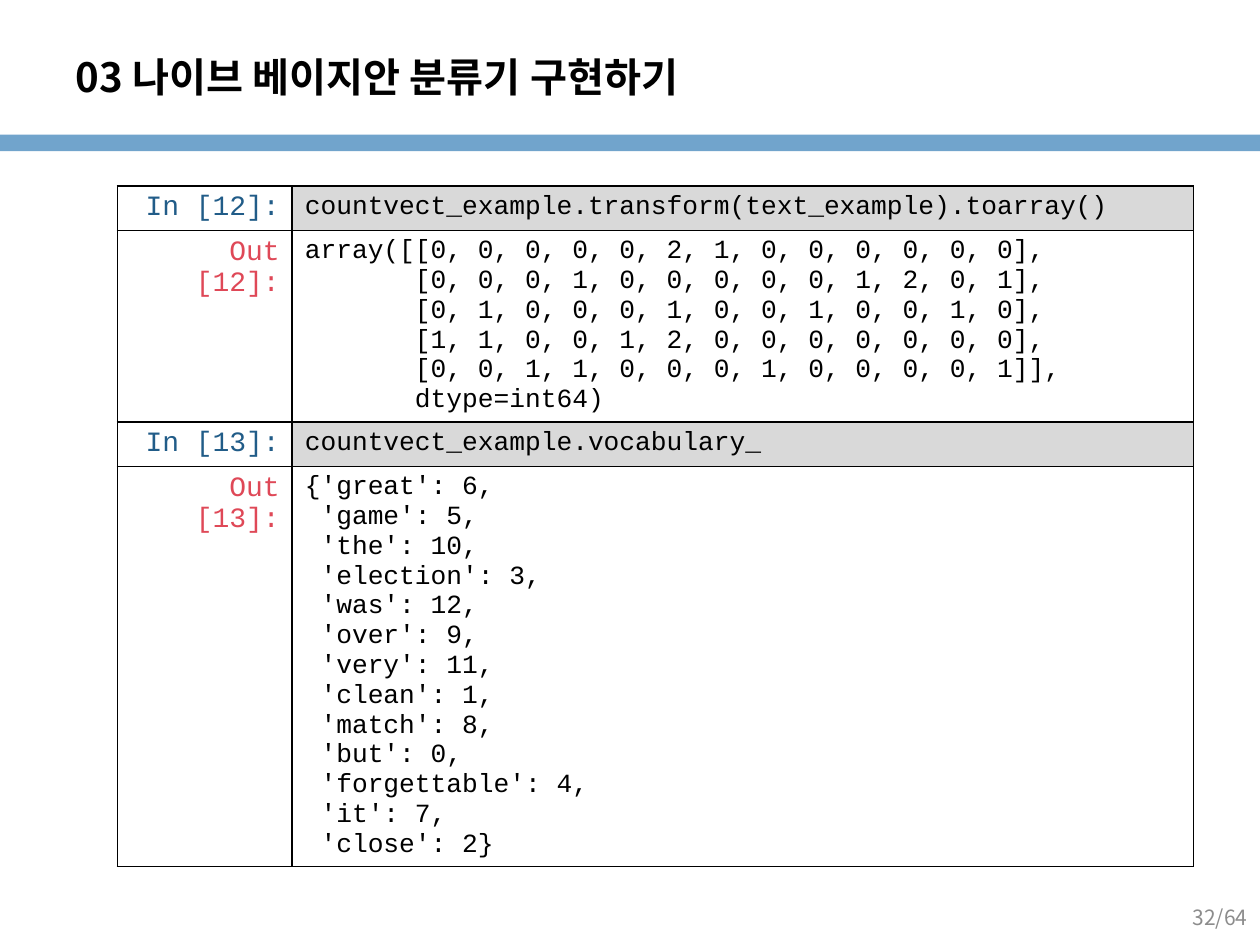
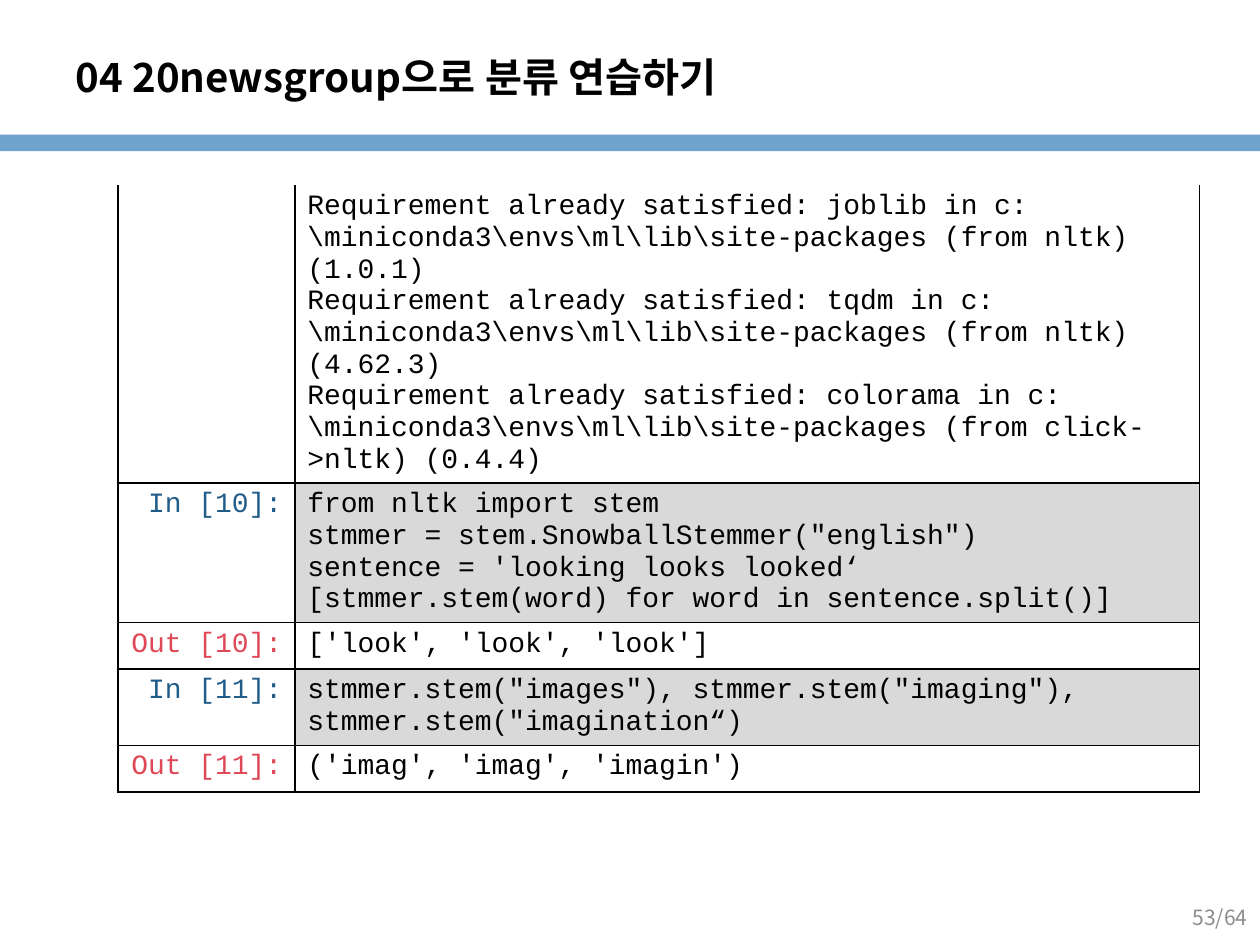
"""Build two notebook slides, each with a table of inputs and outputs."""
from dataclasses import dataclass

from lxml.etree import SubElement
from pptx import Presentation
from pptx.dml.color import RGBColor
from pptx.enum.shapes import MSO_SHAPE
from pptx.enum.text import MSO_ANCHOR, MSO_AUTO_SIZE, PP_ALIGN
from pptx.oxml.ns import qn
from pptx.slide import Slide
from pptx.table import _Cell
from pptx.text.text import TextFrame
from pptx.util import Pt

BLACK = RGBColor(0x00, 0x00, 0x00)
WHITE = RGBColor(0xFF, 0xFF, 0xFF)
SKY = RGBColor(0x71, 0xA4, 0xCC)
GRAY = RGBColor(0x8C, 0x8C, 0x8C)
SHADE = RGBColor(0xD9, 0xD9, 0xD9)
BLUE = RGBColor(0x21, 0x5C, 0x88)
RED = RGBColor(0xDF, 0x48, 0x57)
SANS = "Noto Sans CJK KR"
MONO = "Courier New"
WIDTH, HEIGHT = Pt(720), Pt(540)
LABEL = 16


@dataclass(frozen=True)
class Row:
    label: str
    text: str
    height: float


@dataclass(frozen=True)
class Page:
    title: str
    number: str
    left: float
    top: float
    widths: tuple[float, float]
    size: int
    rows: tuple[Row, ...]
    closed: bool = True


ARRAY = """array([[0, 0, 0, 0, 0, 2, 1, 0, 0, 0, 0, 0, 0],
       [0, 0, 0, 1, 0, 0, 0, 0, 0, 1, 2, 0, 1],
       [0, 1, 0, 0, 0, 1, 0, 0, 1, 0, 0, 1, 0],
       [1, 1, 0, 0, 1, 2, 0, 0, 0, 0, 0, 0, 0],
       [0, 0, 1, 1, 0, 0, 0, 1, 0, 0, 0, 0, 1]],
       dtype=int64)"""

VOCAB = """{'great': 6,
 'game': 5,
 'the': 10,
 'election': 3,
 'was': 12,
 'over': 9,
 'very': 11,
 'clean': 1,
 'match': 8,
 'but': 0,
 'forgettable': 4,
 'it': 7,
 'close': 2}"""

SETUP = r"""Requirement already satisfied: joblib in c:\miniconda3\envs\ml\lib\site-packages (from nltk) (1.0.1)
Requirement already satisfied: tqdm in c:\miniconda3\envs\ml\lib\site-packages (from nltk) (4.62.3)
Requirement already satisfied: colorama in c:\miniconda3\envs\ml\lib\site-packages (from click->nltk) (0.4.4)"""

STEM = """from nltk import stem
stmmer = stem.SnowballStemmer("english")
sentence = 'looking looks looked‘
[stmmer.stem(word) for word in sentence.split()]"""

WORDS = 'stmmer.stem("images"), stmmer.stem("imaging"), stmmer.stem("imagination“)'

PAGES = (
    Page("03 나이브 베이지안 분류기 구현하기", "32/64", 67, 106.3, (100, 515), 15, (
        Row("In [12]:", "countvect_example.transform(text_example).toarray()", 25.4),
        Row("Out [12]:", ARRAY, 109.4),
        Row("In [13]:", "countvect_example.vocabulary_", 25.4),
        Row("Out [13]:", VOCAB, 228.6),
    )),
    Page("04 20newsgroup으로 분류 연습하기", "53/64", 67.5, 105.8, (101, 517), 16, (
        Row("", SETUP, 170),
        Row("In [10]:", STEM, 79.8),
        Row("Out [10]:", "['look', 'look', 'look']", 26.6),
        Row("In [11]:", WORDS, 43.4),
        Row("Out [11]:", "('imag', 'imag', 'imagin')", 26.6),
    ), closed=False),
)


def write(frame: TextFrame, text: str, size: float, color: RGBColor,
          face: str, align: PP_ALIGN = PP_ALIGN.LEFT, bold: bool = False) -> None:
    """Fill a frame with one paragraph a line, all in one style."""
    frame.text = text
    for para in frame.paragraphs:
        para.alignment = align
        font = para.font
        font.size, font.name, font.bold = Pt(size), face, bold
        font.color.rgb = color
        SubElement(font._element, qn("a:ea"), typeface=face)


def edge(cell: _Cell, top: bool) -> None:
    """Draw thin black borders on a cell, with or without its top."""
    props = cell._tc.get_or_add_tcPr()
    for side in "LRTB":
        line = SubElement(props, qn(f"a:ln{side}"), w=str(Pt(1)))
        if side == "T" and not top:
            SubElement(line, qn("a:noFill"))
        else:
            fill = SubElement(line, qn("a:solidFill"))
            SubElement(fill, qn("a:srgbClr"), val=str(BLACK))


def paint(cell: _Cell, color: RGBColor) -> None:
    """Give a cell a solid fill."""
    cell.fill.solid()
    cell.fill.fore_color.rgb = color


def frame(slide: Slide, page: Page) -> None:
    """Draw the band, title and page number."""
    band = slide.shapes.add_shape(MSO_SHAPE.RECTANGLE, 0, Pt(77), WIDTH, Pt(9.4))
    band.shadow.inherit = False
    band.fill.solid()
    band.fill.fore_color.rgb = SKY
    band.line.fill.background()

    title = slide.shapes.title
    title.left, title.top, title.width, title.height = Pt(36), Pt(21.6), Pt(564), Pt(44.6)
    foot = slide.shapes.add_textbox(Pt(552), Pt(509.8), Pt(168), Pt(28.8))
    for box in (title, foot):
        box.text_frame.word_wrap = True
        box.text_frame.auto_size = MSO_AUTO_SIZE.NONE
        box.text_frame.vertical_anchor = MSO_ANCHOR.MIDDLE
    write(title.text_frame, page.title, 23, BLACK, SANS, bold=True)
    write(foot.text_frame, page.number, 12, GRAY, SANS, PP_ALIGN.RIGHT)


def grid(slide: Slide, page: Page) -> None:
    """Draw the notebook table."""
    tall = sum(row.height for row in page.rows)
    table = slide.shapes.add_table(
        len(page.rows), 2, Pt(page.left), Pt(page.top),
        Pt(sum(page.widths)), Pt(tall)).table
    table.first_row = table.horz_banding = False
    for col, width in zip(table.columns, page.widths):
        col.width = Pt(width)
    for at, row in enumerate(page.rows):
        table.rows[at].height = Pt(row.height)
        entry = row.label.startswith("In")
        label, code = table.cell(at, 0), table.cell(at, 1)
        for cell in (label, code):
            edge(cell, page.closed or at > 0)
        paint(label, WHITE)
        paint(code, SHADE if entry else WHITE)
        write(label.text_frame, row.label, LABEL, BLUE if entry else RED,
              MONO, PP_ALIGN.RIGHT)
        write(code.text_frame, row.text, page.size, BLACK, MONO)


def main() -> None:
    """Build and save the slides."""
    deck = Presentation()
    deck.slide_width, deck.slide_height = WIDTH, HEIGHT
    for page in PAGES:
        slide = deck.slides.add_slide(deck.slide_layouts[5])
        frame(slide, page)
        grid(slide, page)
    deck.save("out.pptx")


if __name__ == "__main__":
    main()
